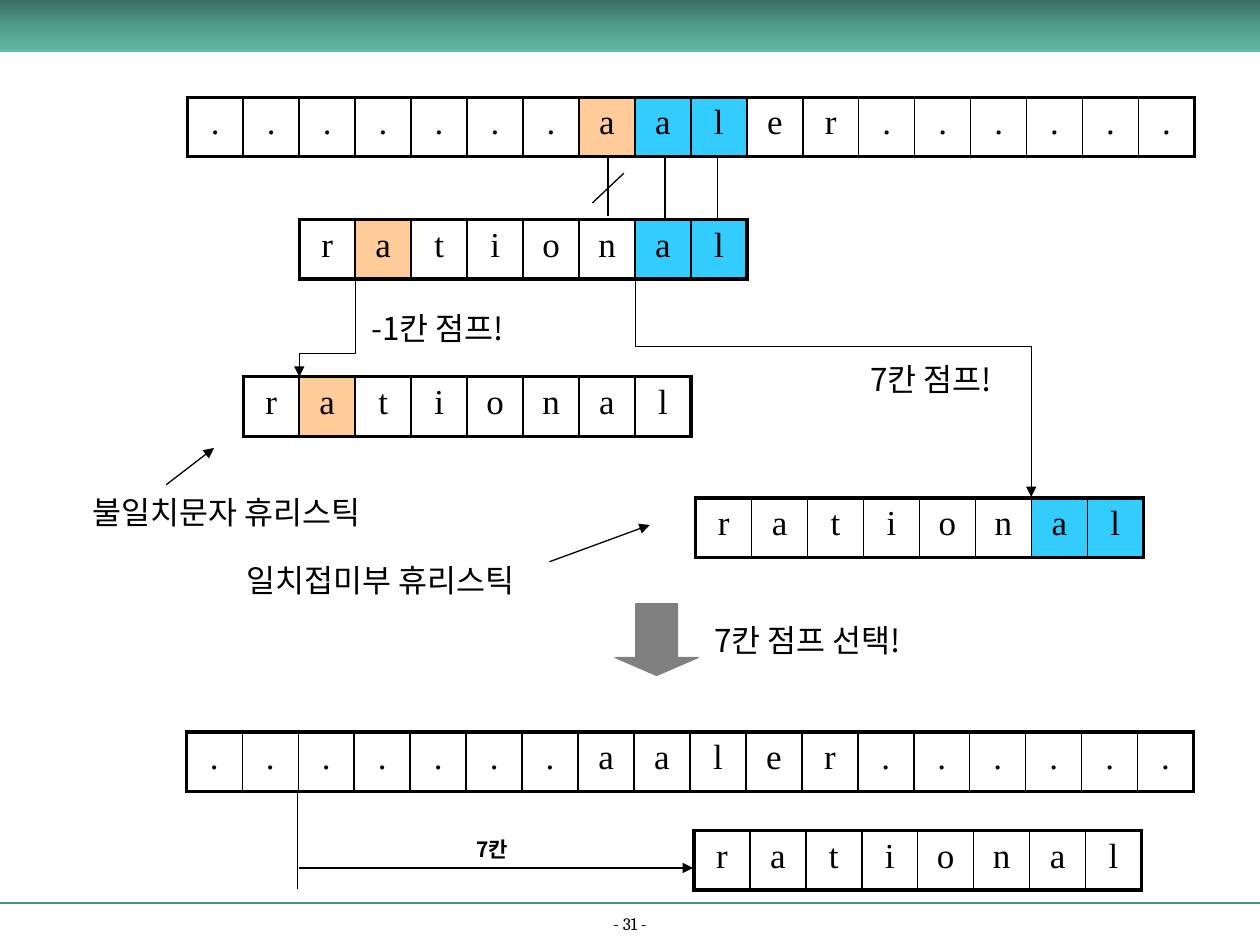
from copy import deepcopy

from lxml.etree import SubElement
from pptx import Presentation
from pptx.dml.color import RGBColor
from pptx.enum.shapes import MSO_CONNECTOR, MSO_SHAPE
from pptx.enum.text import MSO_ANCHOR, MSO_AUTO_SIZE, PP_ALIGN
from pptx.oxml.ns import qn
from pptx.util import Pt

rgb = RGBColor.from_string
BLACK, GREEN, GRAY = "000000", "4C9282", "808080"
ORANGE, BLUE = "FFCC99", "33CCFF"
KOREAN = "Noto Sans CJK KR"
CELL = 32

prs = Presentation()
prs.slide_width, prs.slide_height = Pt(720), Pt(540)
s = prs.slides.add_slide(prs.slide_layouts[6])


def add_letter_row(x, y, letters, fills):
    """Add a one-row table, one letter a cell; fills maps column to colour."""
    n = len(letters)
    table = s.shapes.add_table(1, n, Pt(x), Pt(y), Pt(n * CELL), Pt(34)).table
    table.first_row = table.horz_banding = False
    for i, letter in enumerate(letters):
        table.columns[i].width = Pt(CELL)
        cell = table.cell(0, i)
        cell.text = letter
        p = cell.text_frame.paragraphs[0]
        p.alignment = PP_ALIGN.CENTER
        font = p.runs[0].font
        font.name, font.size = "Times New Roman", Pt(20)
        font.color.rgb = rgb(BLACK)
        widths = {"L": 2.25 if i == 0 else 1, "R": 2.25 if i == n - 1 else 1,
                  "T": 2.25, "B": 2.25}
        tcPr = cell._tc.get_or_add_tcPr()
        for side, width in widths.items():
            ln = SubElement(tcPr, qn(f"a:ln{side}"), w=str(Pt(width)))
            solid = SubElement(ln, qn("a:solidFill"))
            SubElement(solid, qn("a:srgbClr"), val=BLACK)
        if i in fills:
            cell.fill.solid()
            cell.fill.fore_color.rgb = rgb(fills[i])
        else:
            cell.fill.background()


def style_line(sp, arrow=False, color=BLACK, width=0.75):
    sp.line.color.rgb = rgb(color)
    sp.line.width = Pt(width)
    spPr = sp._element.spPr
    if arrow:
        SubElement(spPr.find(qn("a:ln")), qn("a:tailEnd"), type="triangle")
    SubElement(spPr, qn("a:effectLst"))


# Header band, footer rule and page number
band = s.shapes.add_shape(MSO_SHAPE.RECTANGLE, 0, 0, Pt(720), Pt(30))
band.shadow.inherit = False
band.line.fill.background()
band.fill.gradient()
band.fill.gradient_angle = 270
stops = band._element.spPr.find(".//" + qn("a:gsLst"))
stops.append(deepcopy(stops[0]))
shades = [(0, "3A6D62"), (0.5, "539C8B"), (1, "62B9A5")]
for stop, (position, color) in zip(band.fill.gradient_stops, shades):
    stop.position = position
    stop.color.rgb = rgb(color)

rule = s.shapes.add_connector(MSO_CONNECTOR.STRAIGHT, 0, Pt(516), Pt(720), Pt(516))
style_line(rule, color=GREEN, width=1.5)

tf = s.shapes.add_textbox(0, Pt(521.3), Pt(720), Pt(15.8)).text_frame
tf.word_wrap = True
tf.vertical_anchor = MSO_ANCHOR.BOTTOM
tf.text = "- 31 -"
p = tf.paragraphs[0]
p.alignment, p.line_spacing = PP_ALIGN.CENTER, 0.8
font = p.runs[0].font
font.name, font.size = "Cambria", Pt(10)
font.color.rgb = rgb(BLACK)

# Searched text and positions of the pattern
TEXT, PATTERN = ".......aaler......", "rational"
SUFFIX = {6: BLUE, 7: BLUE}
for x, y, letters, fills in [
    (107, 55.6, TEXT, {7: ORANGE, 8: BLUE, 9: BLUE}),
    (171, 125.4, PATTERN, {1: ORANGE, **SUFFIX}),
    (139, 215.3, PATTERN, {1: ORANGE}),
    (397.5, 284.6, PATTERN, SUFFIX),
    (106.5, 418.2, TEXT, {}),
    (396.5, 474.6, PATTERN, {}),
]:
    add_letter_row(x, y, letters, fills)

# Comparison lines, mismatch stroke, pointers and shift distance
for x1, y1, x2, y2, arrow in [
    (347.5, 89, 347.5, 123.5, False),
    (356.5, 99, 338.5, 116, False),
    (380, 90, 380, 125, False),
    (410, 89, 410, 124.5, False),
    (170, 452, 170, 508, False),
    (171, 496, 396, 496, True),
    (95, 277, 122.3, 256, True),
    (314, 321, 371.3, 300, True),
]:
    line = s.shapes.add_connector(MSO_CONNECTOR.STRAIGHT, Pt(x1), Pt(y1), Pt(x2), Pt(y2))
    style_line(line, arrow)

# Jumps as bent arrows
for x1, y1, bend, x2, y2 in [
    (203, 159.4, 202, 171, 215.3),
    (363.3, 159.5, 198, 589.3, 284),
]:
    builder = s.shapes.build_freeform(Pt(x1), Pt(y1))
    builder.add_line_segments(
        [(Pt(x1), Pt(bend)), (Pt(x2), Pt(bend)), (Pt(x2), Pt(y2))], close=False)
    jump = builder.convert_to_shape()
    jump.fill.background()
    style_line(jump, arrow=True)

choice = s.shapes.add_shape(MSO_SHAPE.DOWN_ARROW, Pt(351.5), Pt(345), Pt(47.5), Pt(41))
choice.adjustments[0], choice.adjustments[1] = 0.5, 0.25
choice.fill.solid()
choice.fill.fore_color.rgb = rgb(GRAY)
style_line(choice, color=GRAY)

# Labels
for x, y, w, h, text, size in [
    (205.2, 172.8, 102.2, 29, "-1칸 점프!", 18),
    (490.3, 202.3, 90.7, 29, "7칸 점프!", 18),
    (46, 278, 182, 29, "불일치문자 휴리스틱", 18),
    (134, 317, 182, 29, "일치접미부 휴리스틱", 18),
    (401, 351.4, 133.2, 29, "7칸 점프 선택!", 18),
    (265, 474.5, 33, 21.6, "7칸", 12),
]:
    tf = s.shapes.add_textbox(Pt(x), Pt(y), Pt(w), Pt(h)).text_frame
    small = size == 12
    tf.word_wrap = small
    tf.auto_size = MSO_AUTO_SIZE.SHAPE_TO_FIT_TEXT
    tf.text = text
    r = tf.paragraphs[0].runs[0]
    r.font.name, r.font.size, r.font.bold = KOREAN, Pt(size), small
    r.font.color.rgb = rgb(BLACK)
    SubElement(r._r.get_or_add_rPr(), qn("a:ea"), typeface=KOREAN)

prs.save("out.pptx")
